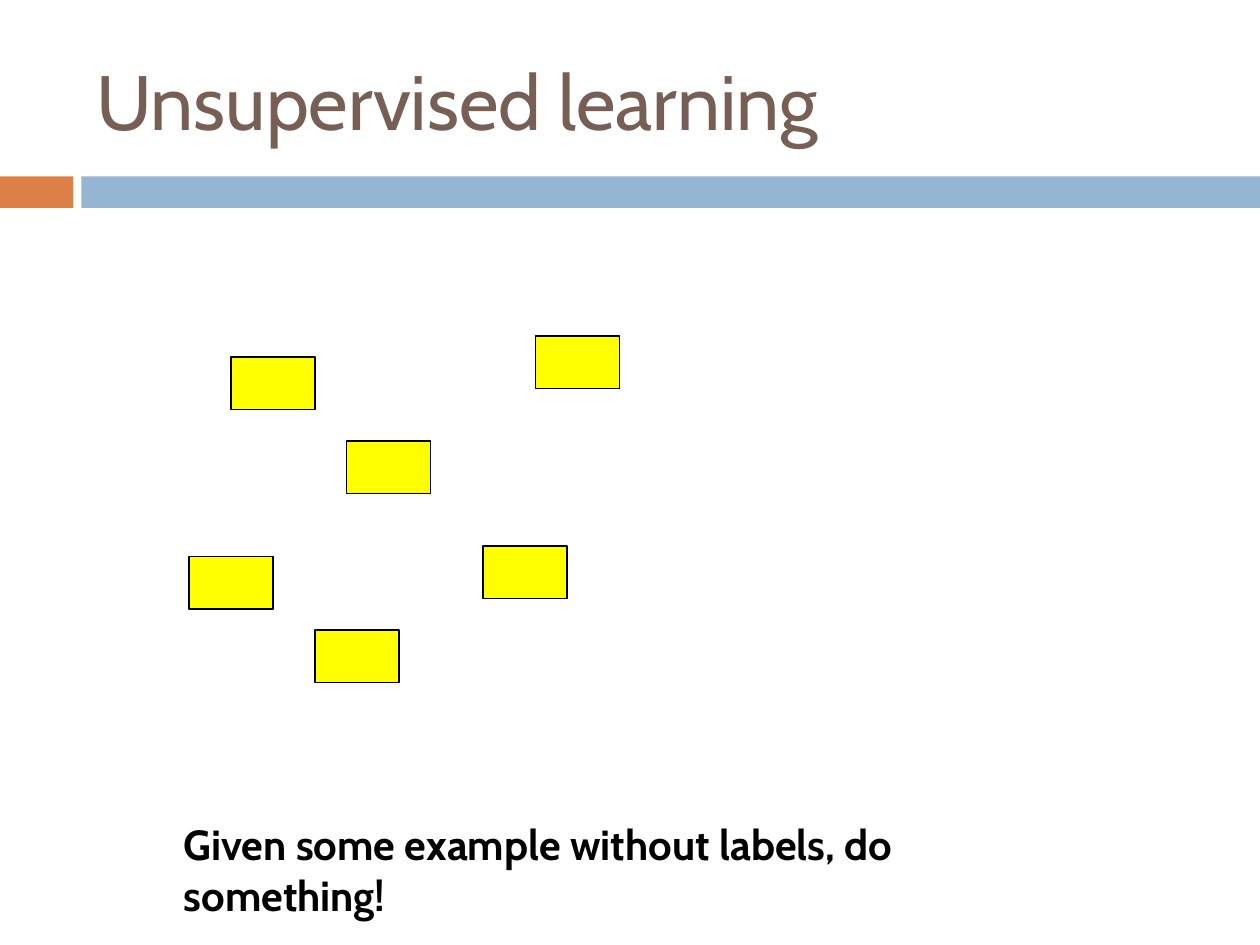
from dataclasses import dataclass

from pptx import Presentation
from pptx.dml.color import RGBColor
from pptx.enum.shapes import MSO_SHAPE as Shape
from pptx.enum.text import MSO_ANCHOR as Anchor
from pptx.slide import Slide
from pptx.util import Pt


@dataclass(frozen=True)
class Theme:
    font: str = "Cabin"
    title_size: float = 44
    caption_size: float = 24
    title: str = "775F55"
    text: str = "000000"
    accent: str = "DD8047"
    band: str = "94B6D2"
    example: str = "FFFF00"
    outline: str = "000000"
    outline_width: float = 0.75


@dataclass(frozen=True)
class Area:
    left: float
    top: float
    width: float
    height: float

    def lengths(self) -> tuple:
        return Pt(self.left), Pt(self.top), Pt(self.width), Pt(self.height)


@dataclass(frozen=True)
class Label:
    text: str
    area: Area
    size: float
    color: str
    bold: bool = False
    anchor: Anchor = Anchor.TOP


THEME = Theme()
PAGE_WIDTH, PAGE_HEIGHT = 720, 540

# Header bands
BAND_TOP, BAND_HEIGHT = 100.8, 18
ACCENT_WIDTH, BAND_LEFT = 42, 46.5
BANDS = (
    (Area(0, BAND_TOP, ACCENT_WIDTH, BAND_HEIGHT), THEME.accent),
    (Area(BAND_LEFT, BAND_TOP, PAGE_WIDTH - BAND_LEFT, BAND_HEIGHT), THEME.band),
)

# Scattered examples: left and top of each box
EXAMPLE_WIDTH, EXAMPLE_HEIGHT = 48, 30
EXAMPLES = ((306, 192), (132, 204), (198, 252), (276, 312), (180, 360), (108, 318))

LABELS = (
    Label("Unsupervised learning", Area(48, 18, 642, 78),
          THEME.title_size, THEME.title, anchor=Anchor.MIDDLE),
    Label("Given some example without labels, do something!",
          Area(97.92, 464.4, 535.68, 36),
          THEME.caption_size, THEME.text, bold=True),
)


def add_rectangle(page: Slide, area: Area, fill: str, outlined: bool = False) -> None:
    box = page.shapes.add_shape(Shape.RECTANGLE, *area.lengths())
    box.shadow.inherit = False
    box.fill.solid()
    box.fill.fore_color.rgb = RGBColor.from_string(fill)
    if outlined:
        box.line.color.rgb = RGBColor.from_string(THEME.outline)
        box.line.width = Pt(THEME.outline_width)
    else:
        box.line.fill.background()


def add_label(page: Slide, label: Label) -> None:
    frame = page.shapes.add_textbox(*label.area.lengths()).text_frame
    frame.word_wrap = True
    frame.vertical_anchor = label.anchor
    frame.text = label.text
    font = frame.paragraphs[0].runs[0].font
    font.name = THEME.font
    font.size = Pt(label.size)
    font.bold = label.bold
    font.color.rgb = RGBColor.from_string(label.color)


def main() -> None:
    deck = Presentation()
    deck.slide_width, deck.slide_height = Pt(PAGE_WIDTH), Pt(PAGE_HEIGHT)
    page = deck.slides.add_slide(deck.slide_layouts[6])

    for area, fill in BANDS:
        add_rectangle(page, area, fill)
    for left, top in EXAMPLES:
        area = Area(left, top, EXAMPLE_WIDTH, EXAMPLE_HEIGHT)
        add_rectangle(page, area, THEME.example, outlined=True)
    for label in LABELS:
        add_label(page, label)

    deck.save("out.pptx")


if __name__ == "__main__":
    main()
